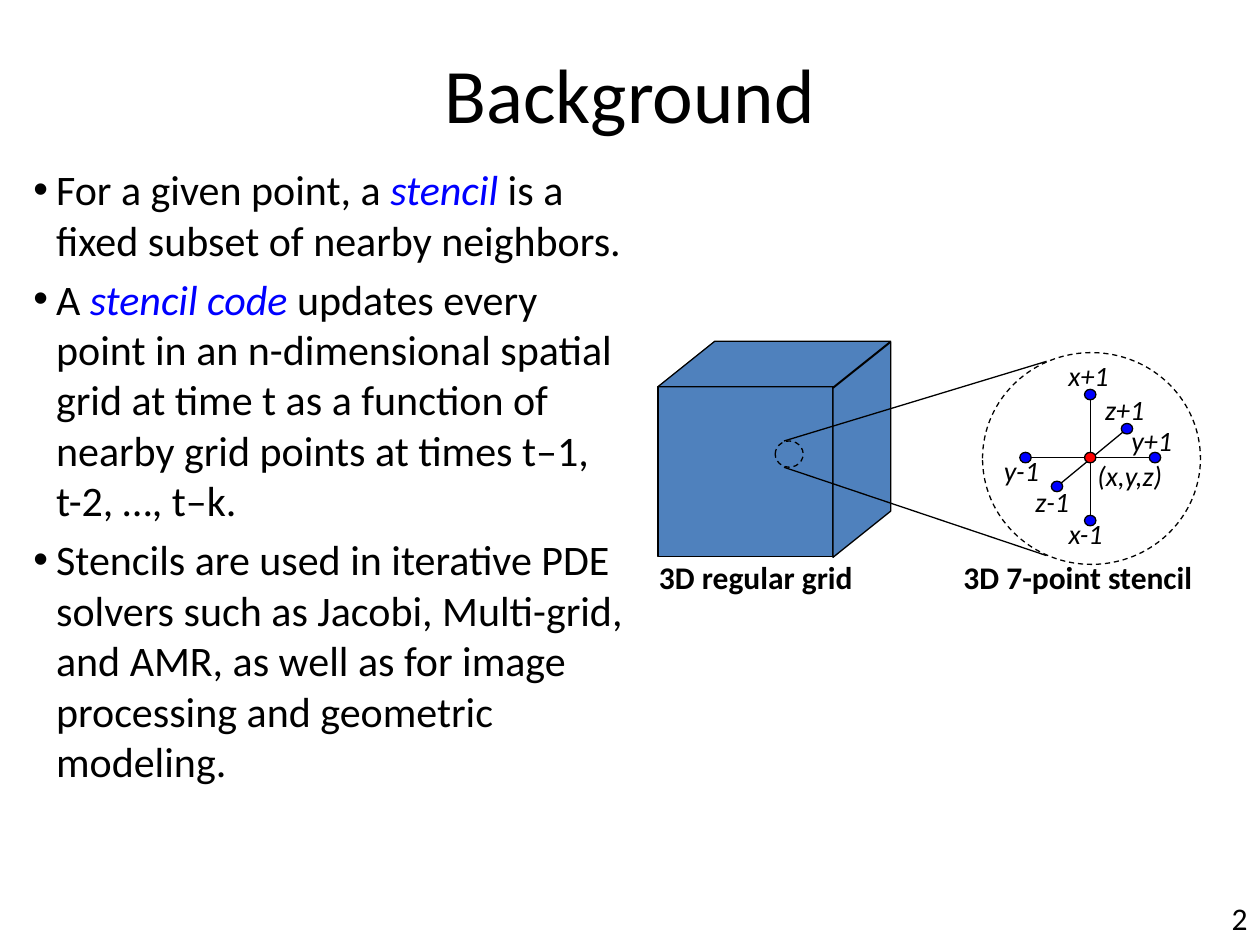
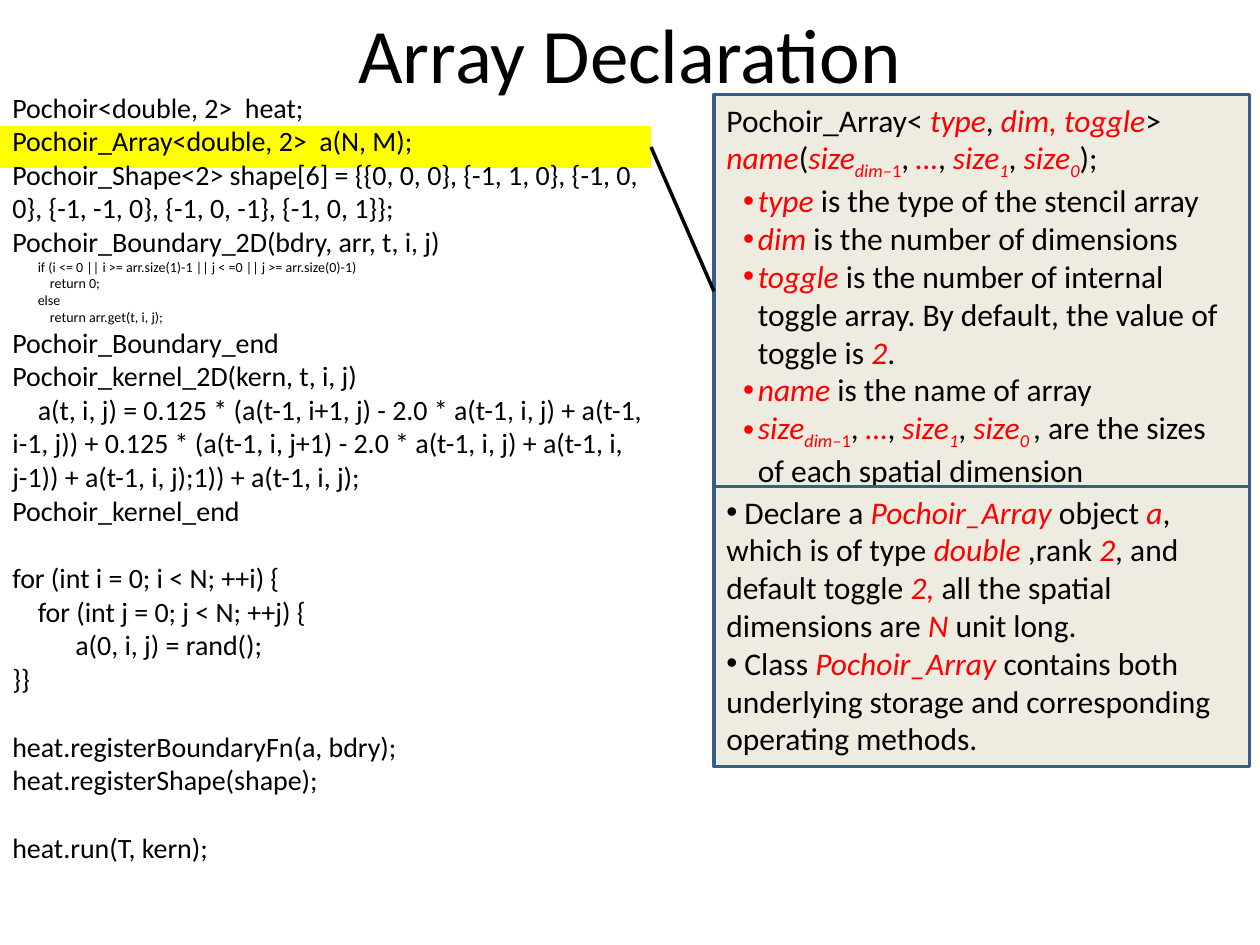
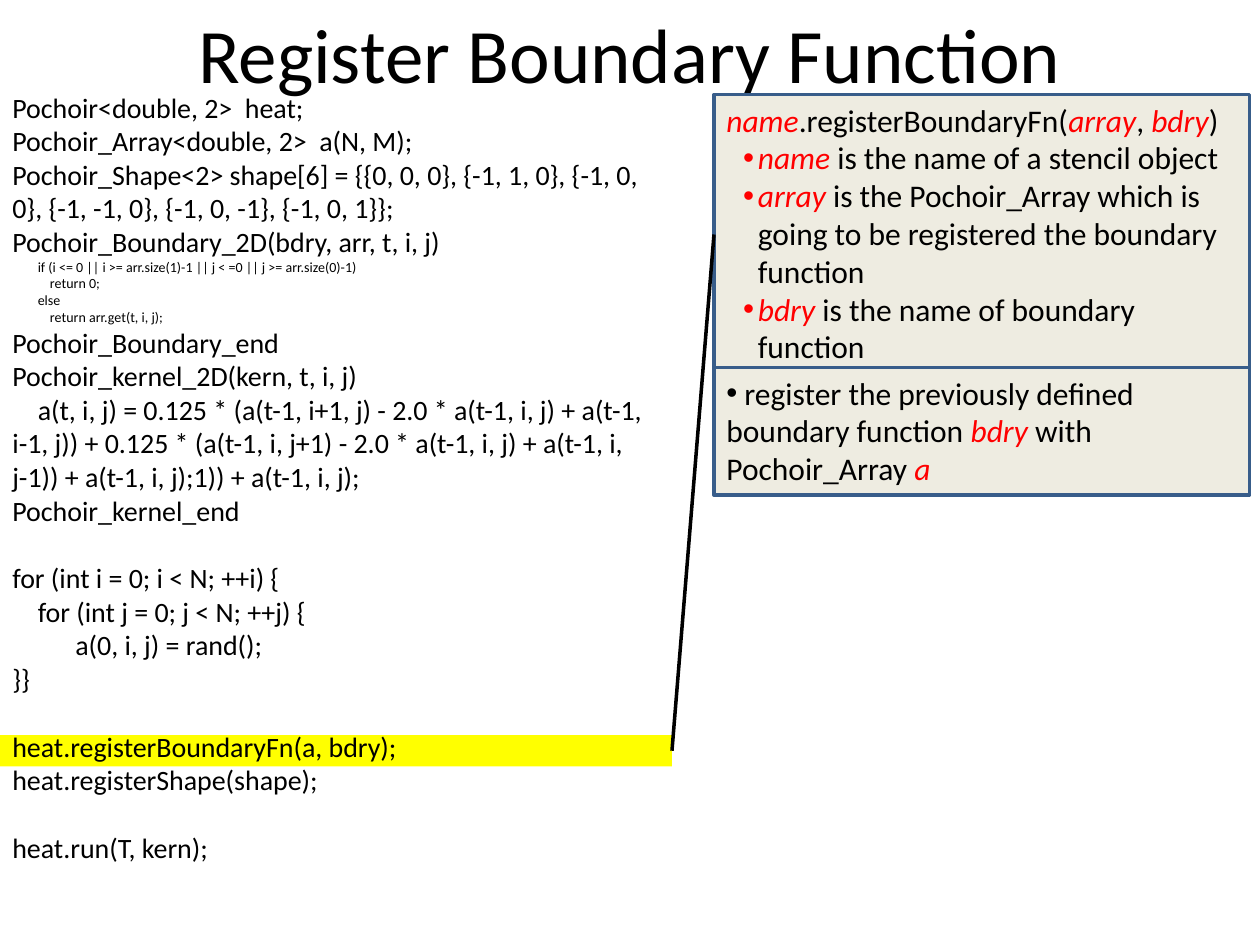
from collections import namedtuple

from lxml.etree import SubElement
from pptx import Presentation
from pptx.dml.color import RGBColor
from pptx.enum.dml import MSO_LINE
from pptx.enum.shapes import MSO_CONNECTOR, MSO_SHAPE
from pptx.enum.text import MSO_ANCHOR, MSO_AUTO_SIZE, PP_ALIGN
from pptx.oxml.ns import qn
from pptx.util import Pt

FONT = "Calibri"
BLACK, RED, BLUE = "000000", "FF0000", "0000FF"
GRID_BLUE, YELLOW = "4F81BD", "FFFF00"
PANEL_FILL, PANEL_EDGE = "EEECE1", "385D8A"
PANEL_LEFT, PANEL_WIDTH = 408, 306
CODE_GAP = 19.5  # one line of 16 pt code

CodeLine = namedtuple("CodeLine", "text size indent before", defaults=(16, 0, 0))

CODE = [
    CodeLine("Pochoir<double, 2>  heat;"),
    CodeLine("Pochoir_Array<double, 2>  a(N, M);"),
    CodeLine("Pochoir_Shape<2> shape[6] = {{0, 0, 0}, {-1, 1, 0}, {-1, 0, 0}, "
             "{-1, -1, 0}, {-1, 0, -1}, {-1, 0, 1}};"),
    CodeLine("Pochoir_Boundary_2D(bdry, arr, t, i, j)"),
    CodeLine("if (i <= 0 || i >= arr.size(1)-1 || j < =0 || j >= arr.size(0)-1)", 8, 14.5),
    CodeLine("return 0;", 8, 21.5),
    CodeLine("else", 8, 14.5),
    CodeLine("return arr.get(t, i, j);", 8, 21.5),
    CodeLine("Pochoir_Boundary_end"),
    CodeLine("Pochoir_kernel_2D(kern, t, i, j)"),
    CodeLine("a(t, i, j) = 0.125 * (a(t-1, i+1, j) - 2.0 * a(t-1, i, j) + a(t-1, i-1, j)) "
             "+ 0.125 * (a(t-1, i, j+1) - 2.0 * a(t-1, i, j) + a(t-1, i, j-1)) "
             "+ a(t-1, i, j);1)) + a(t-1, i, j);", indent=14.5),
    CodeLine("Pochoir_kernel_end"),
    CodeLine("for (int i = 0; i < N; ++i) {", before=CODE_GAP),
    CodeLine("for (int j = 0; j < N; ++j) {", indent=14.5),
    CodeLine("a(0, i, j) = rand();", indent=36),
    CodeLine("}}"),
    CodeLine("heat.registerBoundaryFn(a, bdry);", before=CODE_GAP),
    CodeLine("heat.registerShape(shape);"),
    CodeLine("heat.run(T, kern);", before=CODE_GAP),
]

# Markup: * switches accent, ~ switches subscript, ^ switches upright accent.
BACKGROUND = [
    "For a given point, a *stencil *is a fixed subset of nearby neighbors.",
    "A *stencil code *updates every point in an n-dimensional spatial grid at time t "
    "as a function of nearby grid points at times t–1, t-2, …, t–k.",
    "Stencils are used in iterative PDE solvers such as Jacobi, Multi-grid, and AMR, "
    "as well as for image processing and geometric modeling.",
]
SIZES = "*size~dim–^1^~*,* …*,* size~1~*, *size~0"
ARRAY_SYNTAX = [
    f"Pochoir_Array< *type*, *dim, toggle*> *name*({SIZES}~*);",
    "*type *is the type of the stencil array",
    "*dim* is the number of dimensions",
    "*toggle* is the number of internal toggle array. "
    "By default, the value of toggle is *2*.",
    "*name *is the name of array",
    f"{SIZES} ~*, are the sizes of each spatial dimension",
]
ARRAY_NOTES = [
    " Declare a *Pochoir_Array* object *a*, which is of type *double *,rank *2*, "
    "and default toggle *2, *all the spatial dimensions are *N *unit long.",
    " Class *Pochoir_Array* contains both underlying storage "
    "and corresponding operating methods.",
]
REGISTER_SYNTAX = [
    "*name*.registerBoundaryFn(*array*, *bdry*)",
    "*name *is the name of a stencil object",
    "*array *is the Pochoir_Array which is going to be registered the boundary function",
    "*bdry* is the name of boundary function",
]
REGISTER_NOTES = [
    " register the previously defined boundary function *bdry* with Pochoir_Array *a*",
]


def rgb(value):
    return RGBColor.from_string(value)


def style_run(run, size, color=BLACK, bold=False, italic=False):
    font = run.font
    font.name, font.size = FONT, Pt(size)
    font.bold, font.italic = bold, italic
    font.color.rgb = rgb(color)


def split_markup(markup):
    """Yield each stretch of text with the set of switches that are on."""
    active, text = set(), ""
    for char in markup:
        if char in "*~^":
            if text:
                yield text, set(active)
            active ^= {char}
            text = ""
        else:
            text += char
    if text:
        yield text, active


def add_marked_text(paragraph, markup, size, accent):
    for text, active in split_markup(markup):
        run = paragraph.add_run()
        run.text = text
        accented = "*" in active
        style_run(run, size, accent if accented else BLACK,
                  italic=accented and "^" not in active)
        if "~" in active:
            run.font._element.set("baseline", "-25000")


def indent_paragraph(paragraph, left, first):
    properties = paragraph._p.get_or_add_pPr()
    properties.set("marL", str(Pt(left)))
    properties.set("indent", str(Pt(first)))
    return properties


def add_bullet(paragraph, left=0, first=0):
    properties = indent_paragraph(paragraph, left, first)
    SubElement(properties, qn("a:buFont")).set("typeface", "Arial")
    SubElement(properties, qn("a:buChar")).set("char", "•")


def paragraphs_for(frame, items):
    """Pair every item with its own paragraph of the frame."""
    for index, item in enumerate(items):
        yield frame.add_paragraph() if index else frame.paragraphs[0], item


def add_text_frame(slide, left, top, width, height, wrap=True):
    box = slide.shapes.add_textbox(Pt(left), Pt(top), Pt(width), Pt(height))
    box.text_frame.word_wrap = wrap
    return box.text_frame


def add_label(slide, text, left, top, width, height, size,
              bold=False, italic=False, align=PP_ALIGN.LEFT):
    frame = add_text_frame(slide, left, top, width, height, wrap=False)
    frame.text = text
    frame.paragraphs[0].alignment = align
    style_run(frame.paragraphs[0].runs[0], size, bold=bold, italic=italic)
    return frame


def add_figure(slide, preset, left, top, width, height,
               fill=None, edge=BLACK, weight=0.75, dashed=False):
    figure = slide.shapes.add_shape(preset, Pt(left), Pt(top), Pt(width), Pt(height))
    figure.shadow.inherit = False
    if fill:
        figure.fill.solid()
        figure.fill.fore_color.rgb = rgb(fill)
    else:
        figure.fill.background()
    if edge:
        figure.line.color.rgb = rgb(edge)
        figure.line.width = Pt(weight)
    else:
        figure.line.fill.background()
    if dashed:
        figure.line.dash_style = MSO_LINE.DASH
    return figure


def add_line(slide, start, end, weight=0.75):
    line = slide.shapes.add_connector(
        MSO_CONNECTOR.STRAIGHT, *(Pt(value) for value in (*start, *end)))
    line.line.color.rgb = rgb(BLACK)
    line.line.width = Pt(weight)
    SubElement(line._element.spPr, qn("a:effectLst"))
    return line


def add_titled_slide(deck, title, top, height):
    slide = deck.slides.add_slide(deck.slide_layouts[5])
    heading = slide.shapes.title
    heading.left, heading.top, heading.width, heading.height = (
        Pt(36), Pt(top), Pt(648), Pt(height))
    frame = heading.text_frame
    frame.text = title
    frame.vertical_anchor = MSO_ANCHOR.MIDDLE
    frame.paragraphs[0].alignment = PP_ALIGN.CENTER
    style_run(frame.paragraphs[0].runs[0], 44)
    return slide


def draw_grid(slide):
    add_figure(slide, MSO_SHAPE.RECTANGLE, 376, 221, 100, 97, GRID_BLUE)
    top_face = add_figure(slide, MSO_SHAPE.PARALLELOGRAM, 376, 195, 133, 26, GRID_BLUE)
    top_face.adjustments[0] = 1.25
    side_face = add_figure(slide, MSO_SHAPE.PARALLELOGRAM, 431, 240.5, 123, 33, GRID_BLUE)
    side_face.adjustments[0] = 0.8
    side_face.rotation = 270
    side_face._element.spPr.xfrm.set("flipH", "1")
    add_label(slide, "3D regular grid", 369.5, 315.5, 144, 29, 18, bold=True)


def draw_zoom(slide):
    add_figure(slide, MSO_SHAPE.OVAL, 443, 252, 16, 15, GRID_BLUE, dashed=True)
    add_line(slide, (448, 252), (598, 206.5))
    add_line(slide, (448, 267), (598, 317.5))
    add_figure(slide, MSO_SHAPE.OVAL, 561.5, 201.5, 124.5, 121, dashed=True)


def add_point(slide, x, y, color):
    width, height = 6.5, 6
    add_figure(slide, MSO_SHAPE.OVAL, x - width / 2, y - height / 2,
               width, height, color)


def draw_stencil(slide):
    x, y = 623, 261.5
    axes = [
        ((x - 37, y), (x + 37, y)),
        ((x, y - 36), (x, y + 36)),
        ((x - 19, y + 16.5), (x + 21, y - 16.5)),
    ]
    for start, end in axes:
        add_line(slide, start, end)
        add_point(slide, *start, BLUE)
        add_point(slide, *end, BLUE)
    labels = [
        ("(x,y,z)", 620, 258.5, 58),
        ("x+1", 603.5, 201.5, 41), ("x-1", 603.5, 291.5, 37),
        ("y-1", 566.5, 255.5, 37), ("y+1", 639.5, 238.5, 41),
        ("z-1", 584.5, 273.5, 37), ("z+1", 624.5, 220.5, 41),
    ]
    for text, left, top, width in labels:
        add_label(slide, text, left, top, width, 26.5, 16, italic=True)
    add_point(slide, x, y, RED)
    add_label(slide, "3D 7-point stencil", 543.5, 315.5, 164, 29, 18, bold=True)


def build_background(deck):
    slide = add_titled_slide(deck, "Background", 21.5, 62.5)
    body = add_text_frame(slide, 12, 90, 354, 438)
    for paragraph, markup in paragraphs_for(body, BACKGROUND):
        paragraph.space_before = Pt(5)
        add_bullet(paragraph, 13, -13)
        add_marked_text(paragraph, markup, 24, BLUE)
    draw_grid(slide)
    draw_zoom(slide)
    draw_stencil(slide)
    page_number = add_label(slide, "2", 552, 510, 168, 24, 18, align=PP_ALIGN.RIGHT)
    page_number.word_wrap = True


def add_code(slide):
    frame = add_text_frame(slide, 0, 48, 390, 453)
    for paragraph, line in paragraphs_for(frame, CODE):
        paragraph.text = line.text
        paragraph.space_before = Pt(line.before)
        indent_paragraph(paragraph, 0, line.indent)
        style_run(paragraph.runs[0], line.size)


def add_panel(slide, top, height):
    panel = add_figure(slide, MSO_SHAPE.RECTANGLE, PANEL_LEFT, top, PANEL_WIDTH, height,
                       PANEL_FILL, PANEL_EDGE, 2)
    frame = panel.text_frame
    frame.word_wrap = True
    frame.auto_size = MSO_AUTO_SIZE.SHAPE_TO_FIT_TEXT
    frame.vertical_anchor = MSO_ANCHOR.TOP
    return panel


def add_syntax_panel(slide, top, height, lines):
    """Add a panel with a signature line and a bullet for each of its parts."""
    panel = add_panel(slide, top, height)
    for paragraph, markup in paragraphs_for(panel.text_frame, lines):
        paragraph.alignment = PP_ALIGN.LEFT
        if markup != lines[0]:
            paragraph.level = 1
            add_bullet(paragraph, 18, -8.5)
        add_marked_text(paragraph, markup, 18, RED)
    return panel


def add_notes_panel(slide, top, height, lines):
    panel = add_panel(slide, top, height)
    for paragraph, markup in paragraphs_for(panel.text_frame, lines):
        paragraph.alignment = PP_ALIGN.LEFT
        add_bullet(paragraph)
        add_marked_text(paragraph, markup, 18, RED)


def build_code_slide(deck, title, highlight_box, syntax, syntax_height,
                     notes, notes_top, notes_height):
    slide = add_titled_slide(deck, title, 0, 60)
    highlight = add_figure(slide, MSO_SHAPE.RECTANGLE, *highlight_box, YELLOW, edge=None)
    add_code(slide)
    syntax_panel = add_syntax_panel(slide, 54, syntax_height, syntax)
    callout = add_line(slide, (0, 0), (0, 0), 2)
    callout.begin_connect(highlight, 3)
    callout.end_connect(syntax_panel, 1)
    add_notes_panel(slide, notes_top, notes_height, notes)


def main():
    deck = Presentation()
    deck.slide_width, deck.slide_height = Pt(720), Pt(540)
    build_background(deck)
    build_code_slide(deck, "Array Declaration", (0, 72, 372, 24),
                     ARRAY_SYNTAX, 225, ARRAY_NOTES, 278, 160)
    build_code_slide(deck, "Register Boundary Function", (0, 420, 384, 18),
                     REGISTER_SYNTAX, 160, REGISTER_NOTES, 210, 73)
    deck.save("out.pptx")


if __name__ == "__main__":
    main()
